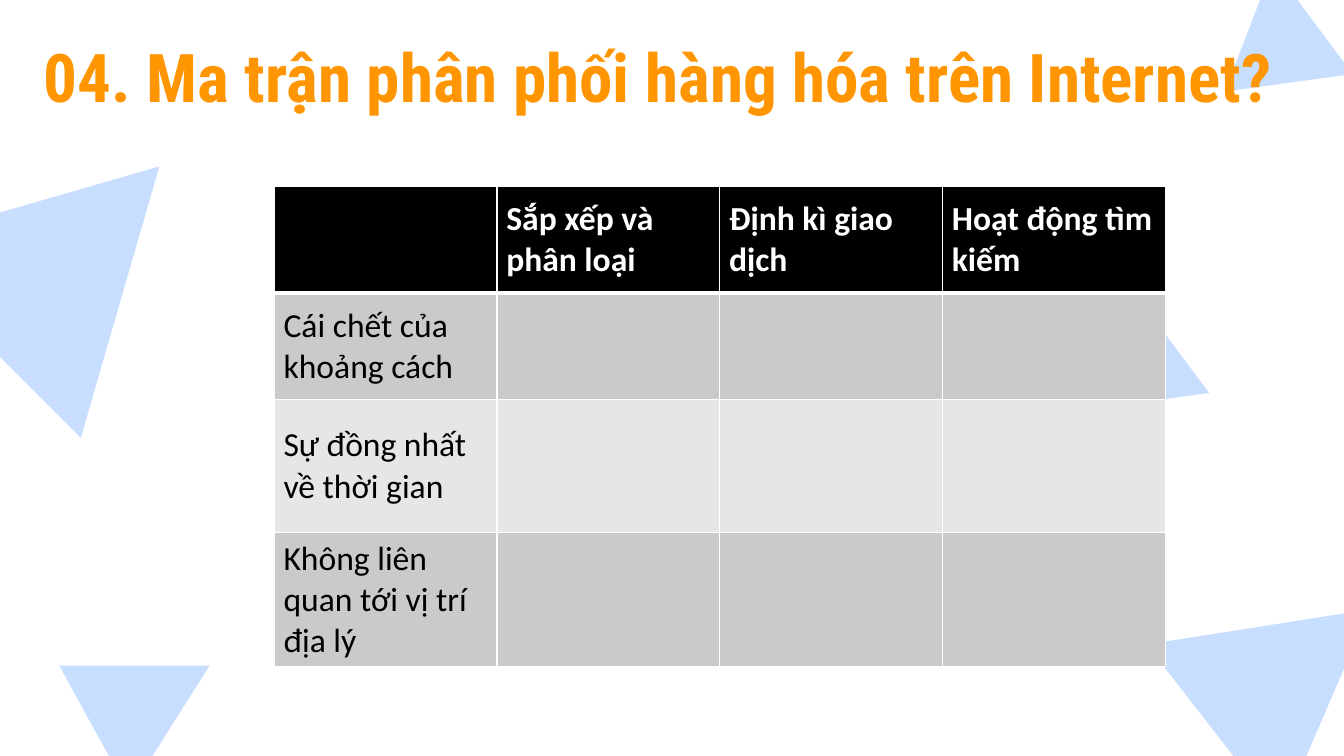
"""Build the slide with the matrix of goods distribution on the Internet."""
from lxml import etree
from pptx import Presentation
from pptx.dml.color import RGBColor
from pptx.enum.shapes import MSO_SHAPE
from pptx.enum.text import MSO_ANCHOR, PP_ALIGN
from pptx.oxml.ns import qn
from pptx.util import Inches, Pt

TRIANGLE = MSO_SHAPE.ISOSCELES_TRIANGLE
MIDDLE = MSO_ANCHOR.MIDDLE
CENTER = PP_ALIGN.CENTER
LEFT = PP_ALIGN.LEFT

COLORS = {
    "triangle": "C8DEFF", "title": "FF9500", "header": "000000",
    "odd": "CACACA", "even": "E6E6E6", "dark": "000000", "light": "FFFFFF",
}
PAGE_WIDTH = 10
PAGE_HEIGHT = PAGE_WIDTH * 9 / 16
TITLE = "04. Ma trận phân phối hàng hóa trên Internet?"
TITLE_BOX = (-0.21, 0.14, 10.21, 0.84)
TRIANGLES = [
    (8.32, 2.39, 0.64, 0.58, 352.2),
    (0.59, 4.7, 1.08, 0.98, 61.2),
    (-0.48, 0.97, 2.03, 1.84, 45),
    (9.05, -0.25, 0.96, 0.87, 352.2),
    (8.8, 4.25, 1.62, 1.47, 52.2),
]
MATRIX = [
    ["", "Sắp xếp và phân loại", "Định kì giao dịch", "Hoạt động tìm kiếm"],
    ["Cái chết của khoảng cách", "", "", ""],
    ["Sự đồng nhất về thời gian", "", "", ""],
    ["Không liên quan tới vị trí địa lý", "", "", ""],
]
MATRIX_BOX = (2.04, 1.39, 6.63, 3.57)
SHORT_ROW = 0.79
TALL_ROW = (MATRIX_BOX[3] - 2 * SHORT_ROW) / 2
ROW_HEIGHTS = [SHORT_ROW, SHORT_ROW, TALL_ROW, TALL_ROW]
THIN, THICK = 0.67, 2
TITLE_FORMAT = {"name": "Roboto Condensed", "size": Pt(36), "bold": True}
HEADER_FORMAT = {"name": "Calibri", "size": Pt(18), "bold": True}
BODY_FORMAT = {**HEADER_FORMAT, "bold": False}
TITLE_FRAME = {"word_wrap": True, "vertical_anchor": MIDDLE, **{
    f"margin_{side}": Inches(0.1) for side in ("left", "top", "right", "bottom")}}
CELL_FRAME = {
    "vertical_anchor": MIDDLE, "margin_left": Inches(0.07), "margin_right": Inches(0.07),
    "margin_top": Inches(0.03), "margin_bottom": Inches(0.03),
}


def color(name):
    return RGBColor.from_string(COLORS[name])


def set_all(target, values):
    for name, value in values.items():
        setattr(target, name, value)


def write(frame, text, font_format, color_name, alignment):
    para = frame.paragraphs[0]
    para.alignment = alignment
    span = para.add_run()
    span.text = text
    set_all(span.font, font_format)
    span.font.color.rgb = color(color_name)


def add_borders(cell, widths):
    properties = cell._tc.get_or_add_tcPr()
    for index, (side, width) in enumerate(widths.items()):
        line = etree.Element(qn(f"a:ln{side}"), w=str(Pt(width)))
        fill = etree.SubElement(line, qn("a:solidFill"))
        etree.SubElement(fill, qn("a:srgbClr"), val=COLORS["light"])
        properties.insert(index, line)


def add_triangles(page):
    for *place, angle in TRIANGLES:
        triangle = page.shapes.add_shape(TRIANGLE, *map(Inches, place))
        triangle.rotation = angle
        triangle.shadow.inherit = False
        triangle.fill.solid()
        triangle.fill.fore_color.rgb = color("triangle")
        triangle.line.fill.background()


def add_title(page):
    box = page.shapes.add_textbox(*map(Inches, TITLE_BOX))
    set_all(box.text_frame, TITLE_FRAME)
    write(box.text_frame, TITLE, TITLE_FORMAT, "title", CENTER)


def add_matrix(page):
    table = page.shapes.add_table(
        len(MATRIX), len(MATRIX[0]), *map(Inches, MATRIX_BOX)).table
    for number, (row, height, texts) in enumerate(zip(table.rows, ROW_HEIGHTS, MATRIX)):
        row.height = Inches(height)
        is_header = number == 0
        band = "header" if is_header else "odd" if number % 2 else "even"
        font_format = HEADER_FORMAT if is_header else BODY_FORMAT
        borders = {"L": THIN, "R": THIN, "T": THICK if number == 1 else THIN,
                   "B": THICK if is_header else THIN}
        for cell, text in zip(row.cells, texts):
            set_all(cell, CELL_FRAME)
            cell.fill.solid()
            cell.fill.fore_color.rgb = color(band)
            add_borders(cell, borders)
            if text:
                write(cell.text_frame, text, font_format, "light" if is_header else "dark", LEFT)


def main():
    deck = Presentation()
    deck.slide_width, deck.slide_height = Inches(PAGE_WIDTH), Inches(PAGE_HEIGHT)
    page = deck.slides.add_slide(deck.slide_layouts[6])
    add_triangles(page)
    add_title(page)
    add_matrix(page)
    deck.save("out.pptx")


if __name__ == "__main__":
    main()
